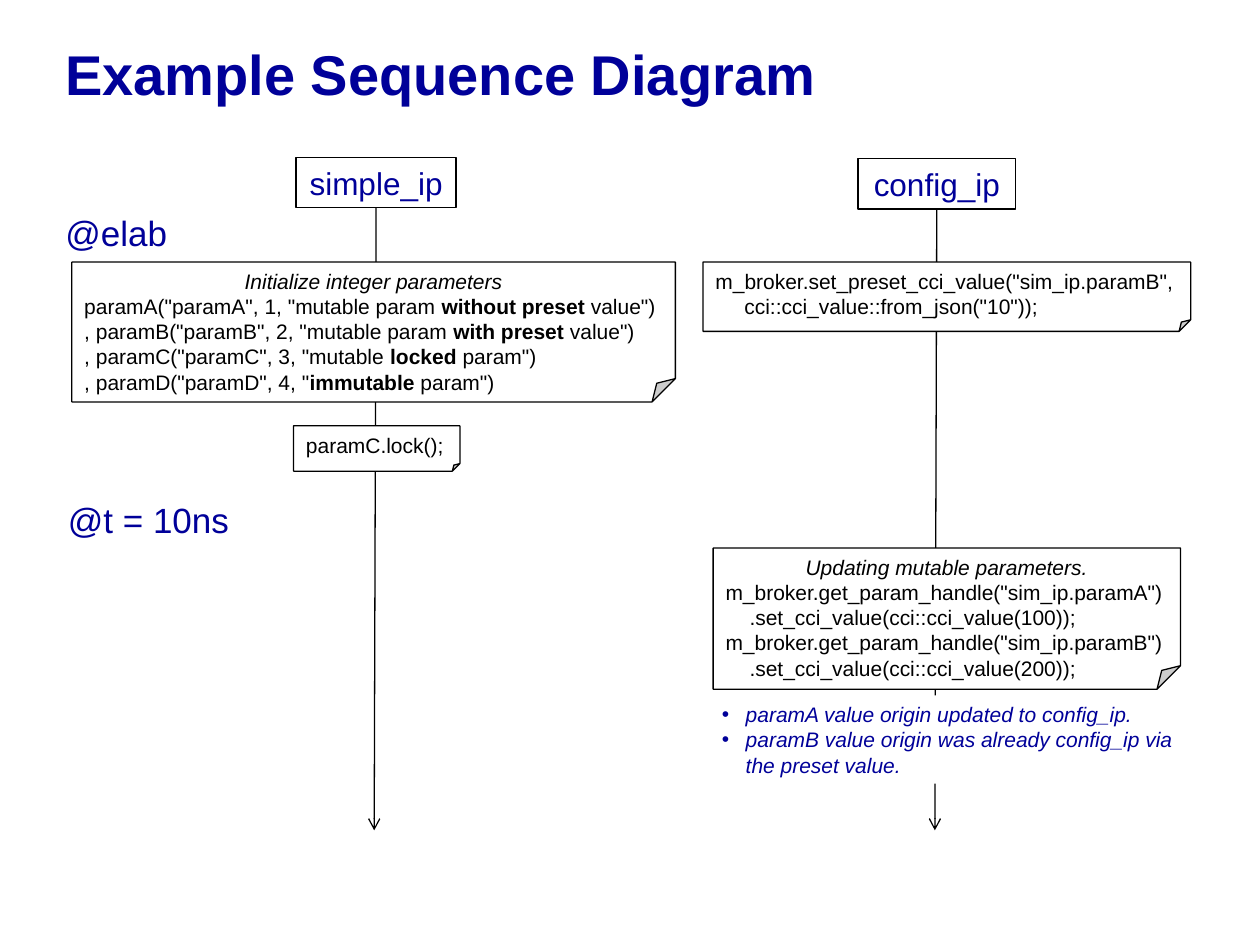
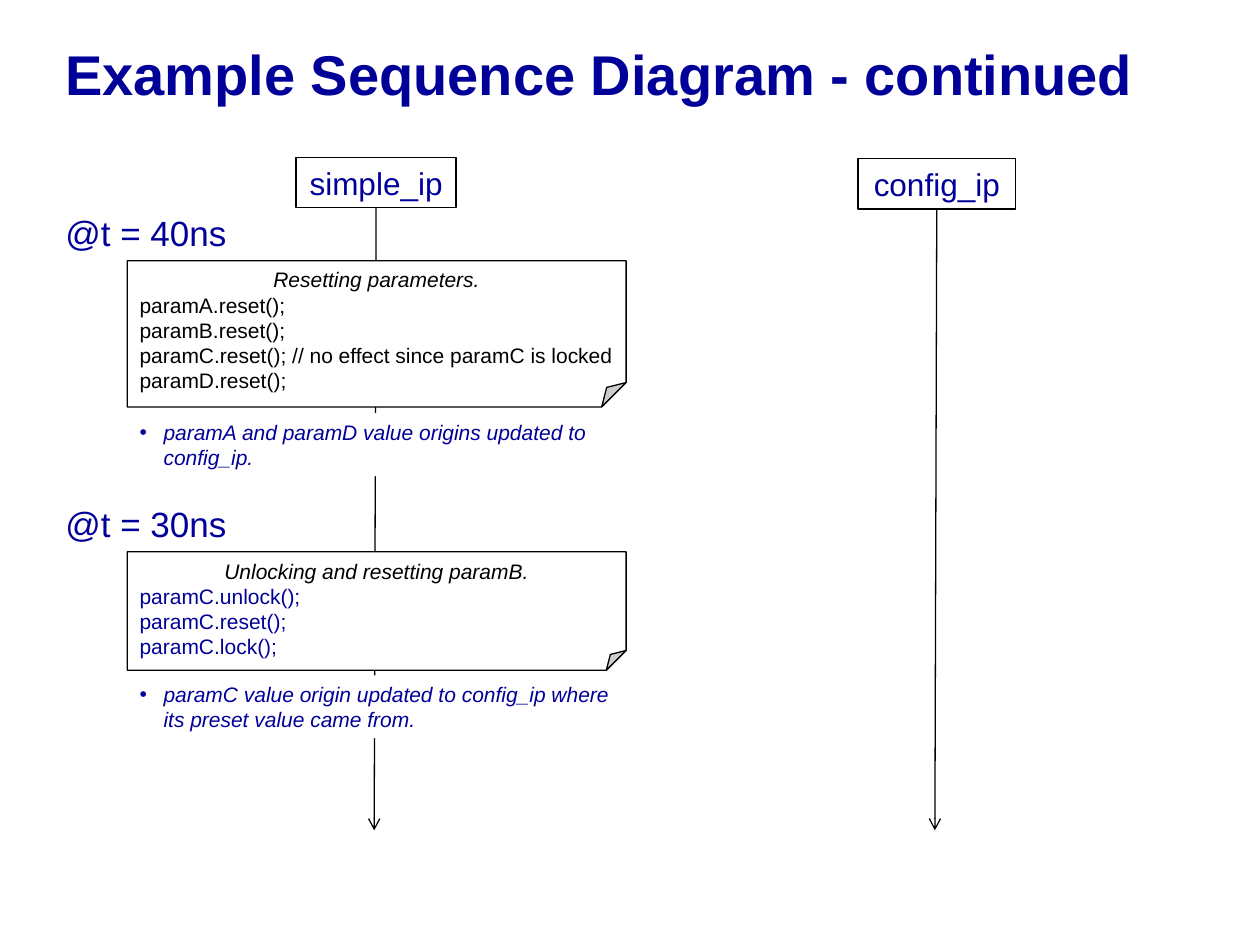
from lxml import etree
from pptx import Presentation
from pptx.dml.color import RGBColor
from pptx.enum import shapes, text
from pptx.oxml import ns
from pptx.util import Inches, Pt

FONT, NAVY, BLACK, WHITE = "Arial", "000099", "000000", "FFFFFF"
LEFT, CENTER = text.PP_ALIGN.LEFT, text.PP_ALIGN.CENTER
TOP, MIDDLE = text.MSO_ANCHOR.TOP, text.MSO_ANCHOR.MIDDLE
LABEL_X, LIFELINE_END = 0.42, 6.59
RESET_X, RESET_W = 1.01, 3.96


# Formatting helpers
def rgb(color):
    return RGBColor.from_string(color)


def inches(box):
    return [Inches(v) for v in box]


def add_xml(parent, tag, **attrs):
    return etree.SubElement(parent, ns.qn(tag), attrs)


def set_frame(sp, anchor=TOP, wrap=True):
    tf = sp.text_frame
    frame = {"word_wrap": wrap, "vertical_anchor": anchor,
             "margin_left": Inches(0.1), "margin_right": Inches(0.1),
             "margin_top": Inches(0.05), "margin_bottom": Inches(0.05)}
    for name, value in frame.items():
        setattr(tf, name, value)
    return tf


def write_line(tf, line, size, color=NAVY, align=LEFT, indent=0, **style):
    """Append a paragraph; text between ** marks is bold."""
    p = tf.paragraphs[0]
    if p.runs:
        p = tf.add_paragraph()
    p.alignment = align
    if indent:
        p._p.get_or_add_pPr().set("marL", str(Inches(indent)))
    for i, part in enumerate(line.split("**")):
        r = p.add_run()
        r.text = part
        font = {"name": FONT, "size": Pt(size), "bold": i % 2 == 1, **style}
        for name, value in font.items():
            setattr(r.font, name, value)
        r.font.color.rgb = rgb(color)
    return p


# Slide elements
def add_text(s, box, line, size, anchor=TOP, wrap=True, **style):
    sp = s.shapes.add_textbox(*inches(box))
    return write_line(set_frame(sp, anchor, wrap), line, size, **style)


def add_box(s, kind, box, fill=None, line=None):
    sp = s.shapes.add_shape(kind, *inches(box))
    sp.shadow.inherit = False
    if fill:
        sp.fill.solid()
        sp.fill.fore_color.rgb = rgb(fill)
    else:
        sp.fill.background()
    if line:
        sp.line.color.rgb = rgb(line)
        sp.line.width = Pt(0.75)
    else:
        sp.line.fill.background()
    return sp


def add_participant(s, name, box, end_x):
    """Header box with the lifeline arrow that runs down from it."""
    sp = add_box(s, shapes.MSO_SHAPE.RECTANGLE, box, line=BLACK)
    write_line(set_frame(sp), name, 18, align=CENTER)
    end = Inches(end_x), Inches(LIFELINE_END)
    lifeline = s.shapes.add_connector(shapes.MSO_CONNECTOR.STRAIGHT, *end, *end)
    lifeline.begin_connect(sp, 2)
    lifeline.line.color.rgb = rgb(BLACK)
    lifeline.line.width = Pt(0.75)
    add_xml(lifeline.line._get_or_add_ln(), "a:tailEnd", type="arrow")
    add_xml(lifeline._element.spPr, "a:effectLst")


def add_time(s, label, y, x=LABEL_X, width=1.48):
    add_text(s, (x, y, width, 0.44), label, 20, wrap=False)


def add_note(s, box, code, caption=None, color=BLACK):
    """Folded note; a code line may be a (text, indent) pair."""
    sp = add_box(s, shapes.MSO_SHAPE.FOLDED_CORNER, box, WHITE, BLACK)
    tf = set_frame(sp)
    if caption:
        write_line(tf, caption, 12, BLACK, CENTER, italic=True)
    for item in code:
        line, indent = item if isinstance(item, tuple) else (item, 0)
        write_line(tf, line, 12, color, indent=indent)


def add_remarks(s, box, remarks):
    tf = set_frame(add_box(s, shapes.MSO_SHAPE.RECTANGLE, box, WHITE))
    for remark in remarks:
        p = write_line(tf, remark, 12, indent=0.19, italic=True)
        pPr = p._p.get_or_add_pPr()
        pPr.set("indent", str(-Inches(0.19)))
        add_xml(add_xml(pPr, "a:buClr"), "a:srgbClr", val=NAVY)
        add_xml(pPr, "a:buFont", typeface=FONT)
        add_xml(pPr, "a:buChar", char="•")


def new_diagram(prs, title):
    """Slide with the title and both participants."""
    s = prs.slides.add_slide(prs.slide_layouts[6])
    p = add_text(s, (0.42, 0, 9.5, 1.25), title, 32, MIDDLE, bold=True)
    p.line_spacing = 0.85
    add_participant(s, "simple_ip", (2.35, 1.25, 1.27, 0.4), 2.97)
    add_participant(s, "config_ip", (6.81, 1.26, 1.25, 0.4), 7.42)
    return s


# Slides
def build_setup(prs):
    s = new_diagram(prs, "Example Sequence Diagram")
    add_time(s, "@elab", 1.63, width=1.01)
    add_time(s, "@t = 10ns", 3.91, x=0.44)
    add_note(s, (0.57, 2.08, 4.79, 1.11), [
        'paramA("paramA", 1, "mutable param **without preset **value")',
        ', paramB("paramB", 2, "mutable param **with preset **value")',
        ', paramC("paramC", 3, "mutable **locked** param")',
        ', paramD("paramD", 4, "**immutable** param")',
    ], "Initialize integer parameters")
    add_note(s, (2.33, 3.38, 1.32, 0.36), ["paramC.lock();"])
    add_note(s, (5.58, 2.08, 3.87, 0.55), [
        'm_broker.set_preset_cci_value("sim_ip.paramB",',
        ('cci::cci_value::from_json("10"));', 0.23),
    ])
    add_note(s, (5.66, 4.35, 3.71, 1.12), [
        'm_broker.get_param_handle("sim_ip.paramA")',
        (".set_cci_value(cci::cci_value(100));", 0.19),
        'm_broker.get_param_handle("sim_ip.paramB")',
        (".set_cci_value(cci::cci_value(200));", 0.19),
    ], "Updating mutable parameters.")
    add_remarks(s, (5.63, 5.52, 3.79, 0.7), [
        "paramA value origin updated to config_ip.",
        "paramB value origin was already config_ip via the preset value.",
    ])


def build_reset(prs):
    s = new_diagram(prs, "Example Sequence Diagram - continued")
    add_time(s, "@t = 40ns", 1.63)
    add_time(s, "@t = 30ns", 3.94)
    add_note(s, (RESET_X, 2.07, RESET_W, 1.16), [
        "paramA.reset();",
        "paramB.reset();",
        "paramC.reset(); // no effect since paramC is locked",
        "paramD.reset();",
    ], "Resetting parameters.")
    add_remarks(s, (RESET_X, 3.28, RESET_W, 0.5), [
        "paramA and paramD value origins updated to config_ip.",
    ])
    add_note(s, (RESET_X, 4.38, RESET_W, 0.94), [
        "paramC.unlock();", "paramC.reset();", "paramC.lock();",
    ], "Unlocking and resetting paramB.", NAVY)
    add_remarks(s, (RESET_X, 5.36, RESET_W, 0.5), [
        "paramC value origin updated to config_ip where its preset value came from.",
    ])


def main():
    prs = Presentation()
    prs.slide_width, prs.slide_height = Inches(10), Inches(7.5)
    build_setup(prs)
    build_reset(prs)
    prs.save("out.pptx")


if __name__ == "__main__":
    main()
